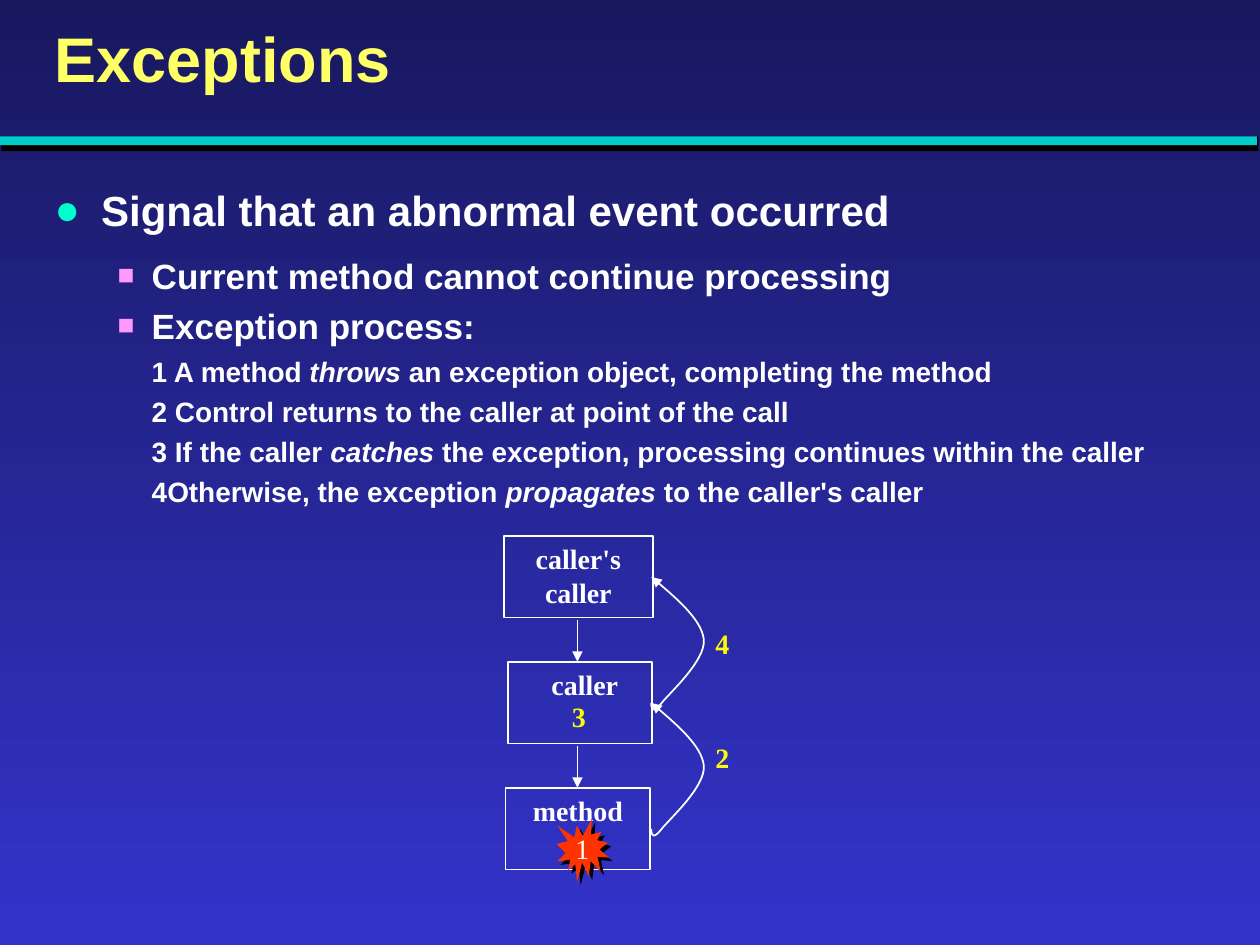
"""Build the slide that explains how exceptions travel up the call chain."""
from dataclasses import dataclass

from lxml import etree
from pptx import Presentation
from pptx.dml.color import RGBColor
from pptx.enum import shapes, text
from pptx.oxml import ns
from pptx.util import Cm, Pt


@dataclass(frozen=True)
class Theme:
    sans: str = "Arial"
    serif: str = "Times New Roman"
    top: str = "18185E"
    bottom: str = "3333CC"
    title: str = "FFFF66"
    body: str = "FFFFFF"
    number: str = "FAFD00"
    teal: str = "00CCCC"
    black: str = "000000"
    burst: str = "FF3300"
    dot: str = "00FFCC"
    square: str = "FF99FF"
    title_size: int = 36
    topic_size: int = 24
    point_size: int = 20
    step_size: int = 16


def add_run(paragraph, words, size, font, color, bold=True, italic=False):
    run = paragraph.add_run()
    run.text = words
    run.font.size, run.font.name = Pt(size), font
    run.font.bold, run.font.italic = bold, italic
    run.font.color.rgb = RGBColor.from_string(color)


def add_xml(parent, tag, **attributes):
    return etree.SubElement(parent, ns.qn(tag), attributes)


theme = Theme()
presentation = Presentation()
presentation.slide_width, presentation.slide_height = Cm(25.4), Cm(19.05)
slide = presentation.slides.add_slide(presentation.slide_layouts[5])

background = slide.background.fill
background.gradient()
background.gradient_angle = 270
for stop, color, position in zip(background.gradient_stops, (theme.top, theme.bottom), (0, 1)):
    stop.color.rgb = RGBColor.from_string(color)
    stop.position = position

for left, height, color in ((0.03, 0.3, theme.black), (0, 0.18, theme.teal)):
    band = slide.shapes.add_shape(
        shapes.MSO_SHAPE.RECTANGLE, Cm(left), Cm(2.75), Cm(25.34), Cm(height))
    band.shadow.inherit = False
    band.fill.solid()
    band.fill.fore_color.rgb = RGBColor.from_string(color)
    band.line.fill.background()

title = slide.shapes.title
title.left, title.top, title.width, title.height = Cm(0.85), Cm(0.5), Cm(23.7), Cm(1.52)
title.text_frame.auto_size = text.MSO_AUTO_SIZE.NONE
title.text_frame.vertical_anchor = text.MSO_ANCHOR.MIDDLE
paragraph = title.text_frame.paragraphs[0]
paragraph.alignment = text.PP_ALIGN.LEFT
paragraph.line_spacing = 0.9
add_run(paragraph, "Exceptions", theme.title_size, theme.sans, theme.title)

topic = (theme.topic_size, 0.94, 0.94, 11, ("●", theme.dot, "100000"))
point = (theme.point_size, 1.96, 0.69, 4.6, ("■", theme.square, "80000"))
step = (theme.step_size, 1.96, 0, 3.7, None)
outline = [
    (topic, ["Signal that an abnormal event occurred"]),
    (point, ["Current method cannot continue processing"]),
    (point, ["Exception process:"]),
    (step, ["1 A method ", "throws", " an exception object, completing the method"]),
    (step, ["2 Control returns to the caller at point of the call"]),
    (step, ["3 If the caller ", "catches", " the exception, processing continues within the caller"]),
    (step, ["4Otherwise, the exception ", "propagates", " to the caller's caller"]),
]
body = slide.shapes.add_textbox(Cm(0.85), Cm(3.6), Cm(23.7), Cm(12.95)).text_frame
body.word_wrap = True
for index, ((size, margin, hanging, gap, bullet), parts) in enumerate(outline):
    paragraph = body.add_paragraph() if index else body.paragraphs[0]
    paragraph.space_after = Pt(gap)
    properties = paragraph._p.get_or_add_pPr()
    properties.set("marL", str(Cm(margin)))
    properties.set("indent", str(-Cm(hanging)))
    if bullet:
        mark, color, percent = bullet
        add_xml(add_xml(properties, "a:buClr"), "a:srgbClr", val=color)
        add_xml(properties, "a:buSzPct", val=percent)
        add_xml(properties, "a:buFont", typeface=theme.sans)
        add_xml(properties, "a:buChar", char=mark)
    for part_index, words in enumerate(parts):
        add_run(paragraph, words, size, theme.sans, theme.body, italic=part_index == 1)

step_height = 2.54
first_top = 10.8
box_height = 1.65
boxes = [("caller's caller", 10.16, 3, 0.25), ("caller", 10.24, 2.9, 0.45), ("method", 10.19, 2.92, 0.25)]
for row, (words, left, width, inset) in enumerate(boxes):
    box = slide.shapes.add_shape(
        shapes.MSO_SHAPE.RECTANGLE, Cm(left), Cm(first_top + row * step_height), Cm(width), Cm(box_height))
    box.shadow.inherit = False
    box.fill.background()
    box.line.color.rgb = RGBColor.from_string(theme.body)
    box.line.width = Pt(1)
    box.text_frame.word_wrap = True
    box.text_frame.margin_left = Cm(inset)
    box.text_frame.vertical_anchor = text.MSO_ANCHOR.TOP
    paragraph = box.text_frame.paragraphs[0]
    paragraph.alignment = text.PP_ALIGN.CENTER
    add_run(paragraph, words, theme.step_size, theme.serif, theme.body)

arrows = []
for row in range(2):
    start = first_top + box_height + 0.05 + row * step_height
    arrows.append(slide.shapes.add_connector(
        shapes.MSO_CONNECTOR.STRAIGHT, Cm(11.64), Cm(start),
        Cm(11.64), Cm(first_top + (row + 1) * step_height)))

burst = slide.shapes.add_shape(
    shapes.MSO_SHAPE.EXPLOSION1, Cm(11.22), Cm(16.51), Cm(1.06), Cm(1.27))
burst.fill.solid()
burst.fill.fore_color.rgb = RGBColor.from_string(theme.burst)
burst.line.fill.background()
effects = add_xml(burst._element.spPr, "a:effectLst")
shadow = add_xml(effects, "a:outerShdw", dist=str(Pt(2.8)), dir="2700000", algn="ctr", rotWithShape="0")
add_xml(shadow, "a:srgbClr", val=theme.black)
burst.text_frame.word_wrap = False
burst.text_frame.vertical_anchor = text.MSO_ANCHOR.MIDDLE
paragraph = burst.text_frame.paragraphs[0]
paragraph.alignment = text.PP_ALIGN.CENTER
add_run(paragraph, "1", theme.step_size, theme.serif, theme.body, bold=False)

curves = [
    ((0, 2.54), (0, 2.65), (0.03, 2.77), (0.21, 2.54)),
    ((0.21, 2.54), (0.38, 2.33), (1.09, 1.69), (1.06, 1.27)),
    ((1.06, 1.27), (1.02, 0.86), (0.51, 0.43), (0, 0)),
]
samples = 16
for top in (14.17, 11.63):
    points = []
    for curve in curves:
        for sample in range(1, samples + 1):
            t = sample / samples
            weights = ((1 - t) ** 3, 3 * t * (1 - t) ** 2, 3 * t * t * (1 - t), t ** 3)
            x, y = (sum(w * p[axis] for w, p in zip(weights, curve)) for axis in (0, 1))
            points.append((Cm(13.13 + x), Cm(top + y)))
    builder = slide.shapes.build_freeform(Cm(13.13), Cm(top + 2.54))
    builder.add_line_segments(points, close=False)
    return_path = builder.convert_to_shape()
    return_path.fill.background()
    arrows.append(return_path)

for arrow in arrows:
    arrow.line.color.rgb = RGBColor.from_string(theme.body)
    arrow.line.width = Pt(1)
    add_xml(arrow.line._get_or_add_ln(), "a:tailEnd", type="triangle")
    add_xml(arrow._element.spPr, "a:effectLst")

for number, left, top in (("2", 14.17, 14.81), ("4", 14.17, 12.5), ("3", 11.28, 13.97)):
    label = slide.shapes.add_textbox(Cm(left), Cm(top), Cm(0.79), Cm(0.94)).text_frame
    label.word_wrap = False
    add_run(label.paragraphs[0], number, theme.step_size, theme.serif, theme.number)

presentation.save("out.pptx")
